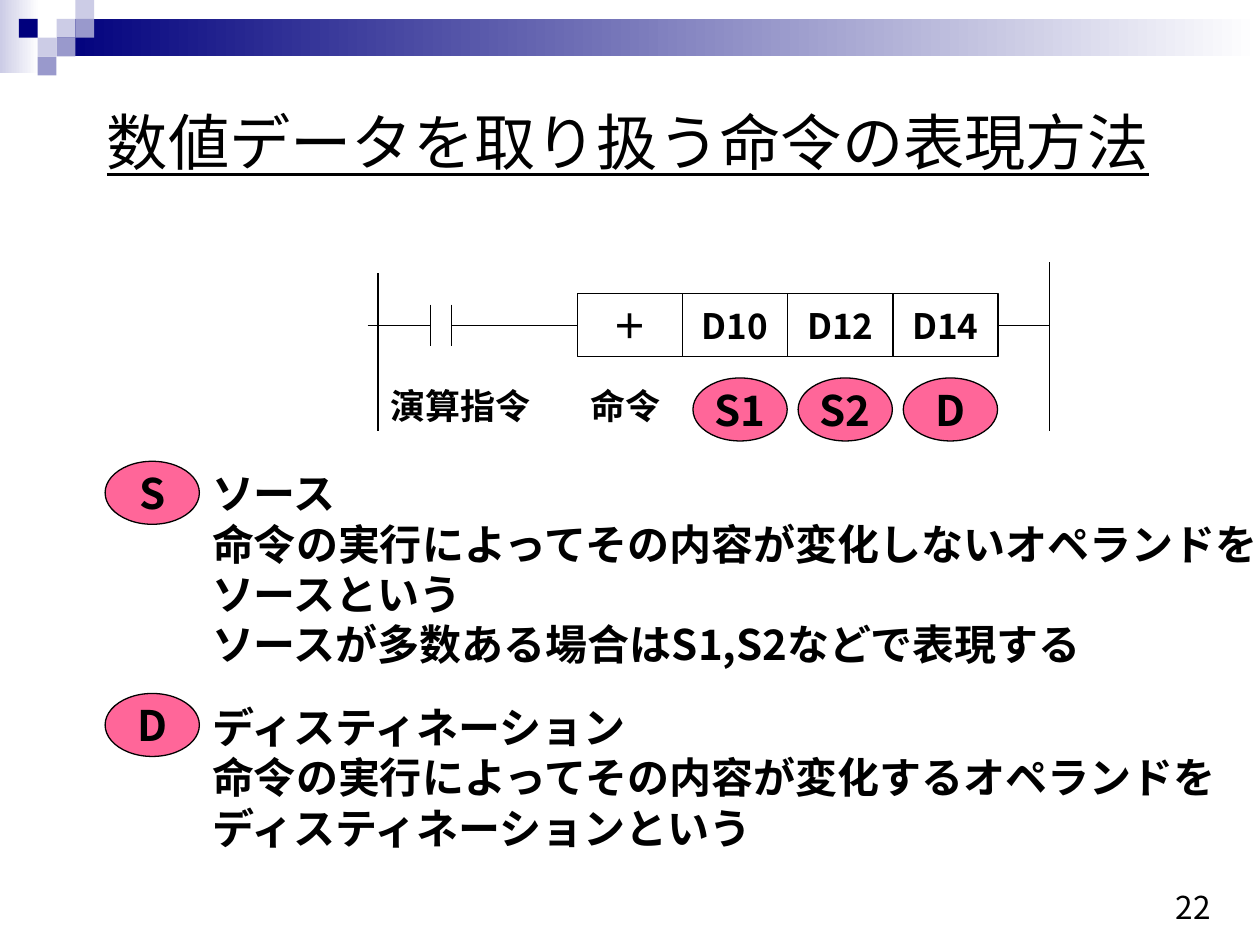
from lxml.etree import SubElement
from pptx import Presentation
from pptx.dml.color import RGBColor
from pptx.enum.shapes import MSO_CONNECTOR, MSO_SHAPE
from pptx.enum.text import MSO_ANCHOR, MSO_AUTO_SIZE, PP_ALIGN
from pptx.oxml.ns import qn
from pptx.util import Cm, Pt

FONT = "Noto Sans CJK JP"
BLACK, WHITE, PINK = "000000", "FFFFFF", "FF6699"
NAVY, LILAC, MID = "00007D", "CCCCE6", "9999CC"
LABEL = {"size": Pt(20), "bold": True}
STRONG = {"size": Pt(24), "bold": True}
CENTER = {"alignment": PP_ALIGN.CENTER}
RIGHT = {"alignment": PP_ALIGN.RIGHT}
LIST = {"alignment": PP_ALIGN.LEFT, "space_before": Pt(0),
        "line_spacing": Pt(28.8)}


def color(hex):
    return RGBColor.from_string(hex)


def apply(item, style):
    for name, value in style.items():
        setattr(item, name, value)


def write(shape, lines, look, para, wrap=False):
    frame = shape.text_frame
    frame.text = "\n".join(lines)
    apply(frame, {"word_wrap": wrap, "auto_size": MSO_AUTO_SIZE.NONE,
                  "vertical_anchor": MSO_ANCHOR.MIDDLE})
    for part in frame.paragraphs:
        apply(part, para)
        for run in part.runs:
            apply(run.font, {"name": FONT, **look})
            run.font.color.rgb = color(BLACK)
            SubElement(run.font._element, qn("a:ea"), typeface=FONT)


def place(shape, box):
    apply(shape, dict(zip(("left", "top", "width", "height"), map(Cm, box))))


def shape(slide, kind, box, fill, edge=None, fade=None):
    item = slide.shapes.add_shape(kind, *map(Cm, box))
    item.shadow.inherit = False
    if fade:
        item.fill.gradient()
        item.fill.gradient_angle = 0
        for stop, tint in zip(item.fill.gradient_stops, (fill, fade)):
            stop.color.rgb = color(tint)
    else:
        item.fill.solid()
        item.fill.fore_color.rgb = color(fill)
    if edge:
        item.line.color.rgb = color(edge)
        item.line.width = Pt(0.75)
    else:
        item.line.fill.background()
    return item


def wire(slide, x1, y1, x2, y2):
    item = slide.shapes.add_connector(
        MSO_CONNECTOR.STRAIGHT, *map(Cm, (x1, y1, x2, y2)))
    item.line.color.rgb = color(BLACK)
    item.line.width = Pt(0.75)
    SubElement(item._element.spPr, qn("a:effectLst"))


def label(slide, box, text, look, para):
    write(slide.shapes.add_textbox(*map(Cm, box)), [text], look, para)


def badge(slide, x, y, text):
    item = shape(slide, MSO_SHAPE.OVAL, (x, y, 1.9, 1.27), PINK, BLACK)
    write(item, [text], STRONG, CENTER)


def banner(slide, x, y, width):
    unit = 0.38
    rect = MSO_SHAPE.RECTANGLE
    shape(slide, rect, (x, y, 0.79, 1.47), LILAC, fade=WHITE)
    shape(slide, rect, (x + 3 * unit, y + unit, width - 3 * unit, 0.76),
          NAVY, fade=WHITE)
    tiles = ((3, 1, LILAC), (4, 0, LILAC), (4, 1, MID), (2, 2, LILAC),
             (1, 1, NAVY), (3, 2, MID), (2, 3, MID))
    for col, row, fill in tiles:
        shape(slide, rect, (x + col * unit, y + row * unit, unit, unit), fill)


def ladder(slide, x, y):
    step, first, mid = 2.12, 4.23, 1.27
    last = first + 4 * step
    for x1, x2 in ((0, 1.27), (1.69, first), (last, 13.75)):
        wire(slide, x + x1, y + mid, x + x2, y + mid)
    # Rails and contacts, each in two joined pieces
    posts = ((0.21, 0.22, 2.6, 3.4), (13.75, 0, 2.6, 3.4),
             (1.27, 0.85, 1.48, 1.69), (1.69, 0.85, 1.48, 1.69))
    for dx, top, joint, end in posts:
        wire(slide, x + dx, y + top, x + dx, y + joint)
        wire(slide, x + dx, y + joint, x + dx, y + end)
    for i, text in enumerate(("＋", "D10", "D12", "D14")):
        box = (x + first + i * step, y + mid - 0.64, step, 1.27)
        cell = shape(slide, MSO_SHAPE.RECTANGLE, box, WHITE, BLACK)
        write(cell, [text], LABEL, CENTER)
    label(slide, (x + 0.21, y + 2.33, 3.33, 1.09), "演算指令", LABEL, RIGHT)
    label(slide, (x + first, y + 2.33, 1.93, 1.09), "命令", LABEL, RIGHT)
    for i, text in enumerate(("S1", "S2", "D"), 1):
        badge(slide, x + first + i * step + 0.21, y + 2.33, text)


def term(slide, body, box, mark, lines):
    """Badge at the top left, its definition to the right."""
    x, y, width, height = box
    badge(slide, x, y, mark)
    place(body, (x + 1.9, y, width - 1.9, height))
    write(body, lines, STRONG, LIST)
    body.text_frame.margin_right = 0
    for part in body.text_frame.paragraphs:
        props = part._p.get_or_add_pPr()
        props.set("marL", "0")
        props.set("indent", "0")
        SubElement(props, qn("a:buNone"))


def main():
    deck = Presentation()
    deck.slide_width, deck.slide_height = Cm(25.4), Cm(19.05)
    slide = deck.slides.add_slide(deck.slide_layouts[3])
    title, source, target = slide.placeholders
    banner(slide, 0, 0, 25.4)
    place(title, (1.42, 1.98, 22.48, 1.73))
    write(title, ["数値データを取り扱う命令の表現方法"],
          {"size": Pt(35), "underline": True}, CENTER, True)
    ladder(slide, 7.41, 5.29)
    term(slide, source, (2.12, 9.3, 23.28, 4.32), "S", [
        "ソース", "命令の実行によってその内容が変化しないオペランドを",
        "ソースという", "ソースが多数ある場合はS1,S2などで表現する"])
    term(slide, target, (2.12, 13.98, 23.28, 3.36), "D", [
        "ディスティネーション",
        "命令の実行によってその内容が変化するオペランドを",
        "ディスティネーションという"])
    label(slide, (22.71, 17.53, 2.69, 1.52), "22", {"size": Pt(18)}, CENTER)
    deck.save("out.pptx")


if __name__ == "__main__":
    main()
